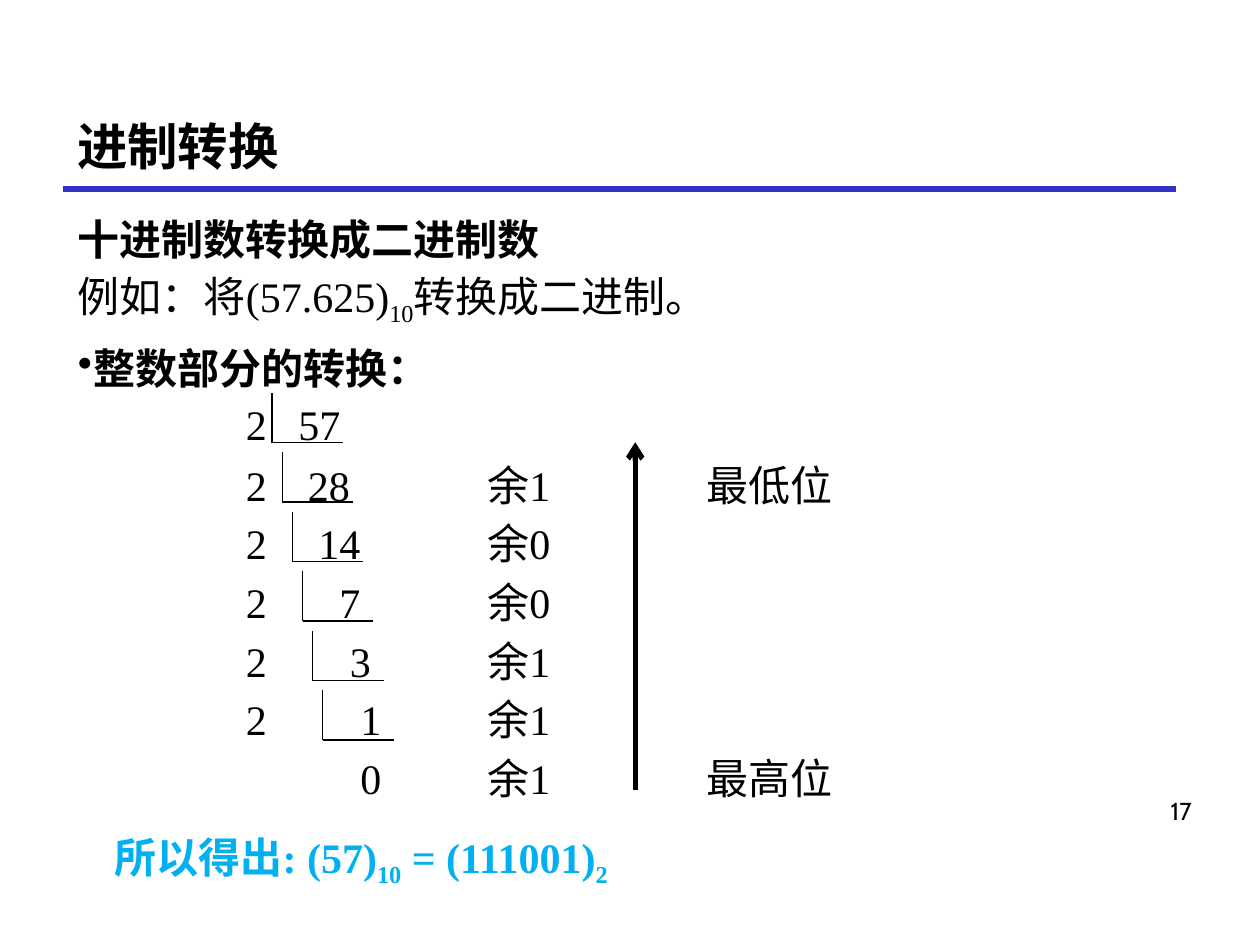
from pptx import Presentation
from pptx.dml.color import RGBColor
from pptx.enum.shapes import MSO_CONNECTOR as Connector
from pptx.enum.text import MSO_ANCHOR as Anchor, PP_ALIGN as Align
from pptx.oxml.ns import qn
from pptx.util import Pt
from lxml.etree import SubElement

CJK = "Noto Sans CJK SC"
SERIF = "Times New Roman"
BLACK, BLUE, CYAN = "000000", "3333CC", "00B0F0"
DIVISION = [
    ("2", "57", 150, "", ""),
    ("2", "28", 155.5, "余1", "最低位"),
    ("2", "14", 161.5, "余0", ""),
    ("2", "7", 161.5, "余0", ""),
    ("2", "3", 167.5, "余1", ""),
    ("2", "1", 173.5, "余1", ""),
    ("", "0", 173.5, "余1", "最高位"),
]


def color(value):
    return RGBColor.from_string(value)


def add_frame(page, left, top, width, height, anchor=Anchor.TOP):
    frame = page.shapes.add_textbox(Pt(left), Pt(top), Pt(width), Pt(height)).text_frame
    frame.word_wrap = True
    frame.vertical_anchor = anchor
    return frame


def add_span(para, text, size=24, font=SERIF, fill=BLACK, bold=False, baseline=0):
    span = para.add_run()
    span.text = text
    span.font.size = Pt(size)
    span.font.bold = bold
    span.font.name = font
    span.font.color.rgb = color(fill)
    props = span.font._element
    SubElement(props, qn("a:ea")).set("typeface", CJK)
    if baseline:
        props.set("baseline", str(baseline * 1000))


def add_para(frame, before=0, spacing=Pt(30), align=Align.LEFT):
    first = frame.paragraphs[0]
    para = frame.add_paragraph() if first.runs else first
    para.space_before = Pt(before)
    para.line_spacing = spacing
    para.alignment = align
    return para


def set_indent(para, margin, indent=0, bullet=None):
    props = para._p.get_or_add_pPr()
    props.set("marL", str(Pt(margin)))
    props.set("indent", str(Pt(indent)))
    if bullet:
        SubElement(props, qn("a:buChar")).set("char", bullet)


def set_tabs(para, stops):
    tabs = SubElement(para._p.get_or_add_pPr(), qn("a:tabLst"))
    for position, side in stops:
        tab = SubElement(tabs, qn("a:tab"))
        tab.set("pos", str(Pt(position)))
        tab.set("algn", side)


def add_line(page, start, end, width=0.75, fill=BLACK, arrow=False):
    points = [Pt(value) for value in (*start, *end)]
    line = page.shapes.add_connector(Connector.STRAIGHT, *points)
    line.line.color.rgb = color(fill)
    line.line.width = Pt(width)
    if arrow:
        SubElement(line.line._get_or_add_ln(), qn("a:tailEnd")).set("type", "arrow")
    SubElement(line._element.spPr, qn("a:effectLst"))


def add_title(page, left, top, width, height):
    frame = add_frame(page, left, top, width, height, Anchor.MIDDLE)
    para = add_para(frame, spacing=1.5)
    add_span(para, "进制转换", size=28.8, font="Comic Neue", bold=True)
    add_line(page, (36, 108), (672, 108), width=3, fill=BLUE)


def add_division(frame):
    for index, (divisor, number, right, remainder, label) in enumerate(DIVISION):
        para = add_para(frame, before={0: 1.5, 1: 5}.get(index, 3.5))
        set_tabs(para, [(96, "l"), (right, "r"), (234, "l"), (359.5, "l")])
        cells = ["", divisor, number, remainder, label]
        add_span(para, "\t".join(cells).rstrip("\t"))


def add_body(page, left, top, width, height):
    frame = add_frame(page, left, top, width, height)
    frame.margin_top = Pt(7)
    add_span(add_para(frame), "十进制数转换成二进制数", font=CJK, bold=True)

    example = add_para(frame, before=6.5)
    add_span(example, "例如：将(57.625)")
    add_span(example, "10", baseline=-25)
    add_span(example, "转换成二进制。")

    heading = add_para(frame, before=7.5)
    set_indent(heading, 9, -9, "•")
    add_span(heading, "整数部分的转换：", bold=True)

    add_division(frame)

    result = add_para(frame, before=19)
    set_indent(result, 21)
    for text, baseline in (("所以得出: (57)", 0), ("10", -25), (" = (111001)", 0), ("2", -25)):
        add_span(result, text, fill=CYAN, bold=True, baseline=baseline)


def add_brackets(page, left, top, width, height):
    for index in range(6):
        x = left + 5.8 * index
        y = top + 34 * index
        corner = (x, y + height)
        add_line(page, corner, (x + width, y + height))
        add_line(page, corner, (x, y))


def add_page_number(page, left, top, width, height):
    para = add_para(add_frame(page, left, top, width, height), spacing=1.0, align=Align.RIGHT)
    add_span(para, "17", size=14, font="Cabin")


def main():
    deck = Presentation()
    deck.slide_width, deck.slide_height = Pt(720), Pt(540)
    page = deck.slides.add_slide(deck.slide_layouts[6])
    add_title(page, 37, 49, 667, 51)
    add_body(page, 37.4, 113.8, 635, 414)
    add_page_number(page, 640, 451.5, 48, 41)
    add_brackets(page, 155.5, 224.5, 40.5, 28.4)
    add_line(page, (363, 451.5), (363, 252.7), width=3, arrow=True)
    deck.save("out.pptx")


if __name__ == "__main__":
    main()
